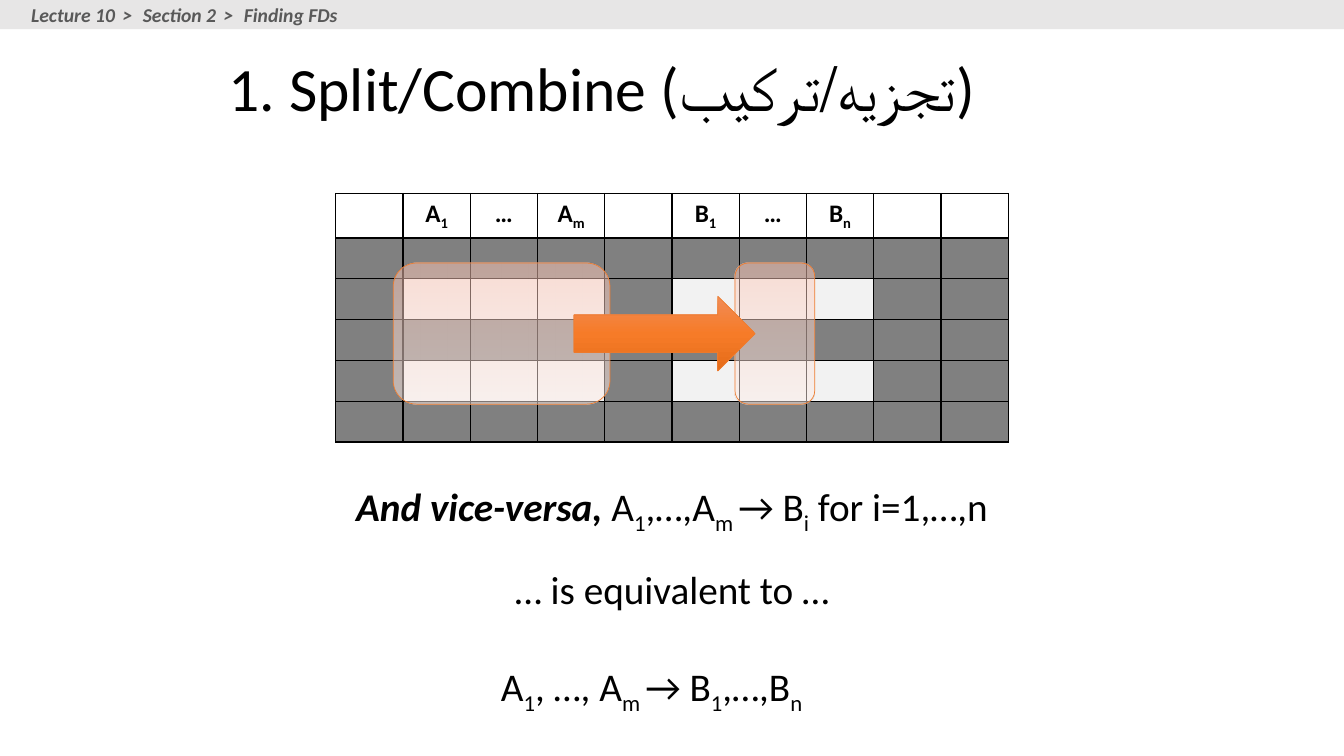
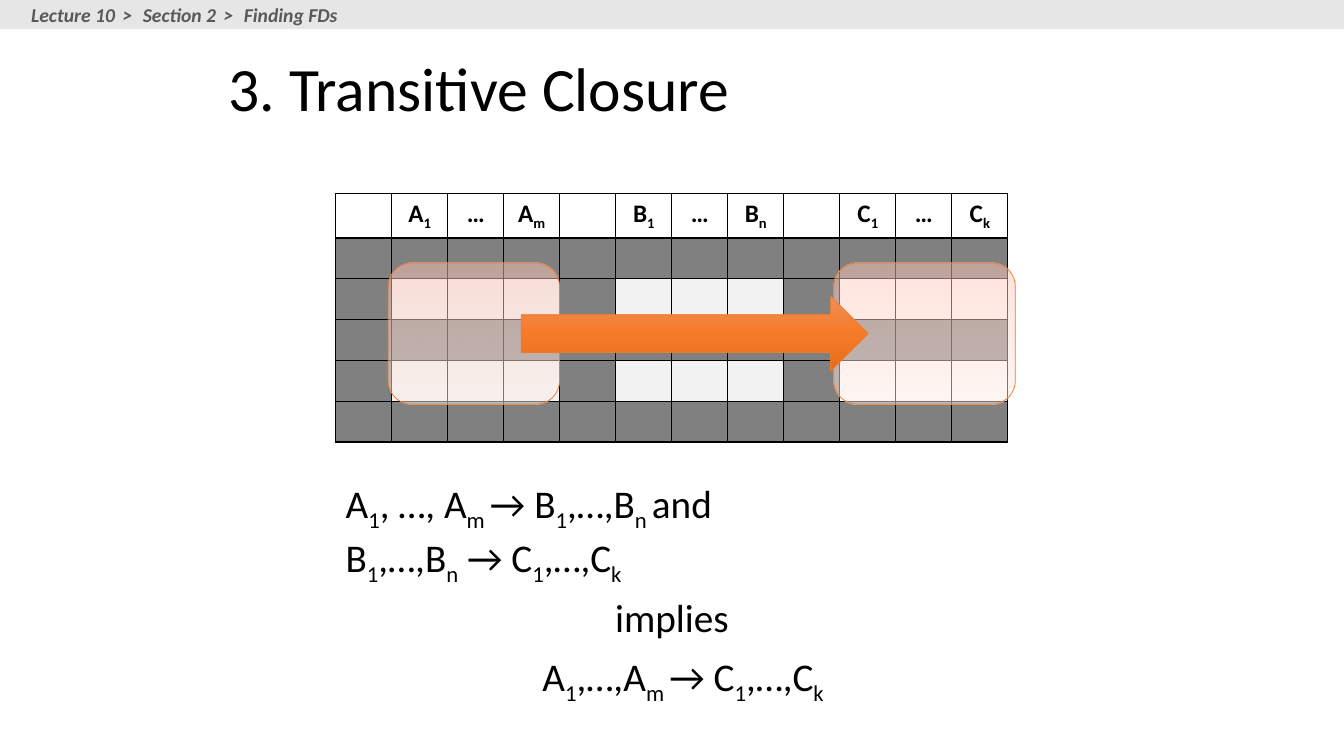
from pptx import Presentation
from pptx.dml.color import RGBColor
from pptx.enum.shapes import MSO_SHAPE
from pptx.enum.text import MSO_ANCHOR, PP_ALIGN
from pptx.oxml import parse_xml
from pptx.oxml.ns import nsdecls, qn
from pptx.util import Inches, Pt

RECTANGLE = MSO_SHAPE.RECTANGLE
ROUNDED = MSO_SHAPE.ROUNDED_RECTANGLE
RIGHT_ARROW = MSO_SHAPE.RIGHT_ARROW
MIDDLE = MSO_ANCHOR.MIDDLE
LEFT = PP_ALIGN.LEFT
CENTER = PP_ALIGN.CENTER

FONT = "Calibri"
COLORS = {
    "text": "000000",
    "breadcrumb": "595959",
    "band": "E7E6E6",
    "accent": "ED7D31",
    "hidden": "808080",
    "shown": "F2F2F2",
    "white": "FFFFFF",
}
HIGHLIGHT_STOPS = [(0, "FFC7B6"), (35, "FFD7CB"), (100, "FFF0EB")]
ARROW_STOPS = [(0, "F18C57"), (50, "F67B28"), (100, "E56C19")]
BREADCRUMB = ["Lecture 10", "Section 2", "Finding FDs"]
BODY_LEFT, BODY_WIDTH, LINE_HEIGHT = 3.33, 6.67, 0.57
TABLE_TOP, TABLE_HEIGHT, TABLE_ROWS = 1.92, 2.43, 6
MATCHING_ROWS = (2, 4)


def color(name):
    return RGBColor.from_string(COLORS[name])


class Deck:
    """Shared lecture style and the slide being built."""

    def __init__(self):
        self.presentation = Presentation()
        self.presentation.slide_width = Inches(13.33)
        self.presentation.slide_height = Inches(7.5)
        self.slide = None

    def new_slide(self, title):
        self.slide = self.presentation.slides.add_slide(self.presentation.slide_layouts[6])
        self.band()
        heading = self.text_box(2.17, 0.28, 9, 1.25)
        heading.vertical_anchor = MIDDLE
        heading.paragraphs[0].line_spacing = 0.9
        self.run(heading.paragraphs[0], title, 44)

    def run(self, paragraph, text, size, bold=False, italic=False, tint="text", **attributes):
        run = paragraph.add_run()
        run.text = text
        run.font.name = FONT
        run.font.size = Pt(size)
        run.font.bold = bold
        run.font.italic = italic
        run.font.color.rgb = color(tint)
        for name, value in attributes.items():
            run.font._element.set(name, value)

    def formula(self, paragraph, parts, size, bold=False):
        """Adds parts that alternate between normal and subscript text."""
        for index, part in enumerate(parts):
            lowered = {"baseline": "-25000"} if index % 2 else {}
            self.run(paragraph, part, size, bold, **lowered)

    def text_box(self, left, top, width, height, wrap=True):
        box = self.slide.shapes.add_textbox(
            Inches(left), Inches(top), Inches(width), Inches(height))
        box.text_frame.word_wrap = wrap
        return box.text_frame

    def statement(self, top, *lines, left=BODY_LEFT, align=CENTER, lead=None):
        frame = self.text_box(left, top, BODY_WIDTH, LINE_HEIGHT * len(lines))
        for index, parts in enumerate(lines):
            paragraph = frame.add_paragraph() if index else frame.paragraphs[0]
            paragraph.alignment = align
            if lead:
                self.run(paragraph, lead, 28, bold=True, italic=True)
            self.formula(paragraph, parts, 28)

    def shape(self, kind, left, top, width, height):
        shape = self.slide.shapes.add_shape(
            kind, Inches(left), Inches(top), Inches(width), Inches(height))
        shape.shadow.inherit = False
        return shape

    def band(self):
        strip = self.shape(RECTANGLE, 0, 0, 13.33, 0.29)
        strip.fill.solid()
        strip.fill.fore_color.rgb = color("band")
        strip.line.fill.background()
        trail = self.text_box(0.21, -0.02, 3.28, 0.34, wrap=False).paragraphs[0]
        for index, step in enumerate(BREADCRUMB):
            if index:
                self.run(trail, " > ", 14, True, True, "breadcrumb", spc="210")
            self.run(trail, step, 14, True, True, "breadcrumb")

    def gradient_shape(self, kind, left, top, width, height, stops, opacity):
        shape = self.shape(kind, left, top, width, height)
        shape.fill.gradient()
        gradient = shape._element.spPr.find(qn("a:gradFill"))
        stop_xml = "".join(
            f'<a:gs pos="{position * 1000}"><a:srgbClr val="{tone}">'
            f'<a:alpha val="{opacity * 1000}"/></a:srgbClr></a:gs>'
            for position, tone in stops)
        gradient.getparent().replace(gradient, parse_xml(
            f'<a:gradFill {nsdecls("a")} rotWithShape="1"><a:gsLst>{stop_xml}</a:gsLst>'
            '<a:lin ang="5400000" scaled="0"/></a:gradFill>'))
        shape.line.color.rgb = color("accent")
        shape.line.width = Pt(0.5)

    def highlight(self, left, width):
        self.gradient_shape(ROUNDED, left, 2.61, width, 1.4, HIGHLIGHT_STOPS, 50)

    def arrow(self, left, width):
        self.gradient_shape(RIGHT_ARROW, left, 2.94, width, 0.74, ARROW_STOPS, 100)

    def border(self, cell):
        properties = cell._tc.get_or_add_tcPr()
        for side in ("lnL", "lnR", "lnT", "lnB"):
            properties.append(parse_xml(
                f'<a:{side} {nsdecls("a")} w="12700"><a:solidFill>'
                f'<a:srgbClr val="{COLORS["text"]}"/></a:solidFill></a:{side}>'))

    def relation(self, groups, trailing=0):
        """Draws a relation whose attribute groups each follow a spare column."""
        spare = ((), "hidden")
        columns = []
        for letter, last, tint in groups:
            names = ((letter, "1"), ("…",), (letter, last))
            columns += [spare] + [(name, tint) for name in names]
        columns += [spare] * trailing
        table = self.slide.shapes.add_table(
            TABLE_ROWS, len(columns), Inches(BODY_LEFT), Inches(TABLE_TOP),
            Inches(BODY_WIDTH), Inches(TABLE_HEIGHT)).table
        for row in table.rows:
            row.height = Inches(TABLE_HEIGHT / TABLE_ROWS)
        for column, (name, tint) in enumerate(columns):
            table.columns[column].width = Inches(BODY_WIDTH / len(columns))
            for row in range(TABLE_ROWS):
                cell = table.cell(row, column)
                self.border(cell)
                cell.fill.solid()
                if row == 0:
                    shade = "white"
                else:
                    shade = tint if row in MATCHING_ROWS else "hidden"
                cell.fill.fore_color.rgb = color(shade)
            heading = table.cell(0, column).text_frame.paragraphs[0]
            heading.alignment = CENTER
            self.formula(heading, name, 18, bold=True)


def main():
    deck = Deck()
    a_group, b_group = ("A", "m", "shown"), ("B", "n", "shown")
    a_to_b = ["A", "1", ", …, A", "m ", "→ B", "1", ",…,B"]

    deck.new_slide("1. Split/Combine (تجزیه/ترکیب)")
    deck.relation([a_group, b_group], trailing=2)
    deck.statement(6.52, a_to_b + ["n"], left=4.87, align=LEFT)
    deck.statement(5.56, ["… is equivalent to …"])
    deck.statement(
        4.74, ["A", "1", ",…,A", "m ", "→ B", "i", " for i=1,…,n"],
        lead="And vice-versa, ")
    deck.highlight(3.9, 2.15)
    deck.highlight(7.29, 0.79)
    deck.arrow(5.69, 1.8)

    deck.new_slide("3. Transitive Closure")
    deck.relation([a_group, b_group, ("C", "k", "white")])
    deck.statement(
        4.71, a_to_b + ["n ", "and"],
        ["B", "1", ",…,B", "n", " → C", "1", ",…,C", "k"], align=LEFT)
    deck.statement(5.84, ["implies"])
    deck.statement(
        6.42, ["A", "1", ",…,A", "m ", "→ C", "1", ",…,C", "k"], left=3.44)
    deck.highlight(3.85, 1.7)
    deck.highlight(8.27, 1.8)
    deck.arrow(5.17, 3.44)

    deck.presentation.save("out.pptx")


if __name__ == "__main__":
    main()
